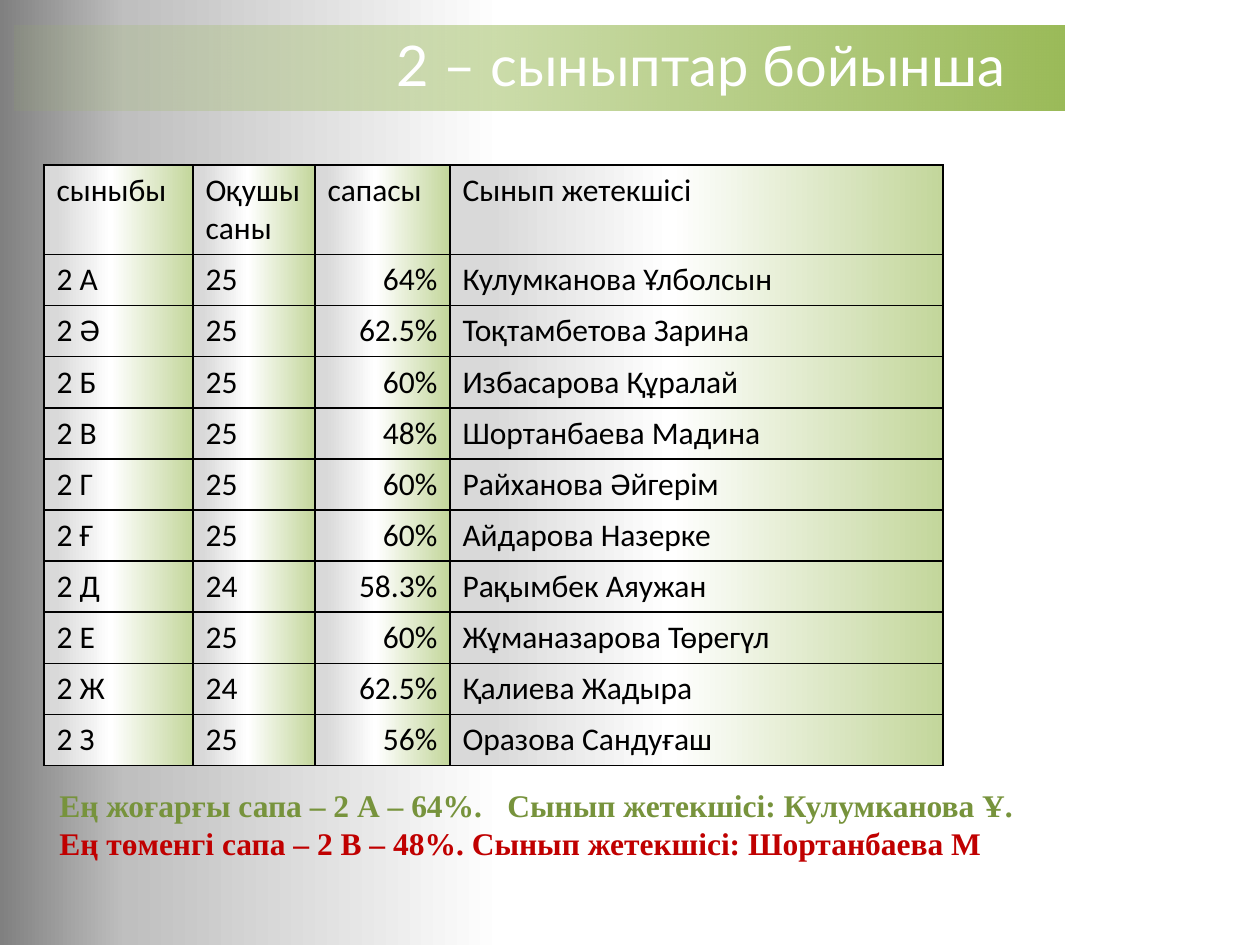
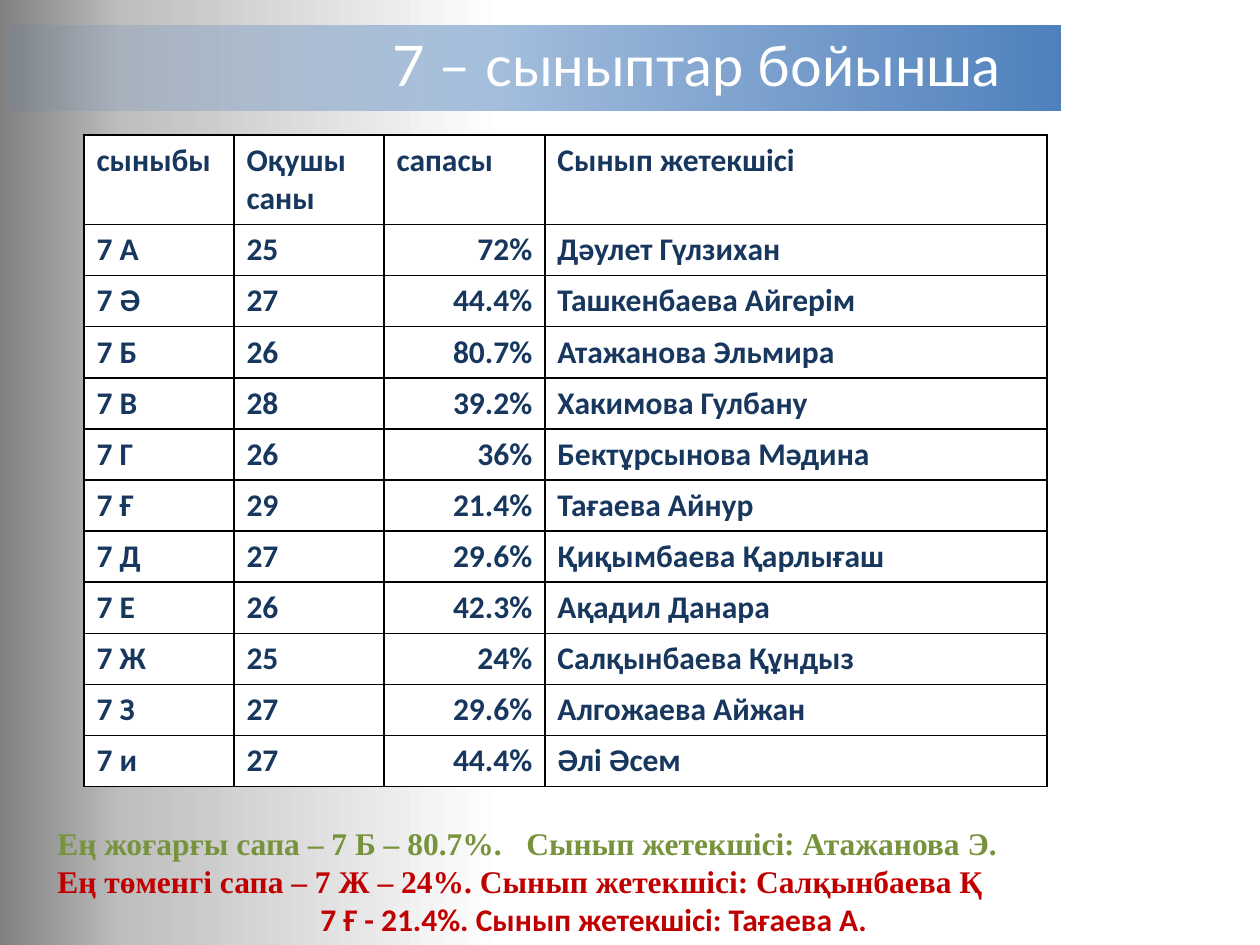
from dataclasses import dataclass
from typing import NamedTuple

from lxml import etree
from pptx import Presentation
from pptx.dml.color import RGBColor
from pptx.enum.text import MSO_ANCHOR, MSO_AUTO_SIZE, PP_ALIGN
from pptx.oxml.ns import qn
from pptx.util import Emu, Pt

LEFT, RIGHT = PP_ALIGN.LEFT, PP_ALIGN.RIGHT
MIDDLE = MSO_ANCHOR.MIDDLE
NO_AUTOFIT = MSO_AUTO_SIZE.NONE
TITLE_ONLY = 5
EMU_PER_PX = 914400 / 126
HEADERS = ("сыныбы", "Оқушы саны", "сапасы", "Сынып жетекшісі")
QUALITY_COLUMN = 2
HEADER_HEIGHT, ROW_HEIGHT = 89, 51


class Stop(NamedTuple):
    position: int
    color: str
    opacity: int = 100


class Box(NamedTuple):
    left: int
    top: int
    width: int
    height: int


class TextStyle(NamedTuple):
    font: str
    size: int
    color: str
    bold: bool = False


@dataclass(frozen=True)
class Theme:
    background: tuple[Stop, ...] = (
        Stop(60, "FFFFFF"), Stop(90, "BFBFBF"), Stop(100, "808080"))
    green_cells: tuple[Stop, ...] = (
        Stop(0, "C3D69B"), Stop(55, "FFFFFF"), Stop(92, "D9D9D9"))
    white_cells: tuple[Stop, ...] = (Stop(0, "FFFFFF"),)
    green_band: str = "9BBB59"
    blue_band: str = "4F81BD"
    border: str = "000000"
    title: TextStyle = TextStyle("Lato", 32, "FFFFFF")
    black_cell: TextStyle = TextStyle("Calibri", 18, "000000")
    navy_cell: TextStyle = TextStyle("Calibri", 18, "17375E", True)
    best: TextStyle = TextStyle("Times New Roman", 18, "77933C", True)
    worst: TextStyle = TextStyle("Times New Roman", 18, "C00000", True)
    extra: TextStyle = TextStyle("Calibri", 18, "C00000", True)


THEME = Theme()


class Remark(NamedTuple):
    text: str
    style: TextStyle
    indent: int = 0
    tab: int = 0


class ClassRow(NamedTuple):
    name: str
    pupils: int
    quality: str
    teacher: str


@dataclass(frozen=True)
class GradeSlide:
    title: str
    band_left: int
    band_color: str
    table_left: int
    table_top: int
    columns: tuple[int, ...]
    cell_style: TextStyle
    cell_stops: tuple[Stop, ...]
    rows: tuple[ClassRow, ...]
    remark_area: Box
    remarks: tuple[Remark, ...]


GRADES = (
    GradeSlide(
        "2 – сыныптар бойынша", 15, THEME.green_band,
        44, 165, (149, 122, 135, 493), THEME.black_cell, THEME.green_cells,
        (
            ClassRow("2 А", 25, "64%", "Кулумканова Ұлболсын"),
            ClassRow("2 Ә", 25, "62.5%", "Тоқтамбетова Зарина"),
            ClassRow("2 Б", 25, "60%", "Избасарова Құралай"),
            ClassRow("2 В", 25, "48%", "Шортанбаева Мадина"),
            ClassRow("2 Г", 25, "60%", "Райханова Әйгерім"),
            ClassRow("2 Ғ", 25, "60%", "Айдарова Назерке"),
            ClassRow("2 Д", 24, "58.3%", "Рақымбек Аяужан"),
            ClassRow("2 Е", 25, "60%", "Жұманазарова Төрегүл"),
            ClassRow("2 Ж", 24, "62.5%", "Қалиева Жадыра"),
            ClassRow("2 З", 25, "56%", "Оразова Сандуғаш"),
        ),
        Box(47, 780, 1013, 127),
        (
            Remark("Ең жоғарғы сапа – 2 А – 64%.\tСынып жетекшісі: Кулумканова Ұ.",
                   THEME.best, tab=448),
            Remark("Ең төменгі сапа – 2 В – 48%. Сынып жетекшісі: Шортанбаева М",
                   THEME.worst),
        ),
    ),
    GradeSlide(
        "7 – сыныптар бойынша", 10, THEME.blue_band,
        84, 135, (150, 150, 161, 502), THEME.navy_cell, THEME.white_cells,
        (
            ClassRow("7 А", 25, "72%", "Дәулет Гүлзихан"),
            ClassRow("7 Ә", 27, "44.4%", "Ташкенбаева Айгерім"),
            ClassRow("7 Б", 26, "80.7%", "Атажанова Эльмира"),
            ClassRow("7 В", 28, "39.2%", "Хакимова Гулбану"),
            ClassRow("7 Г", 26, "36%", "Бектұрсынова Мәдина"),
            ClassRow("7 Ғ", 29, "21.4%", "Тағаева Айнур"),
            ClassRow("7 Д", 27, "29.6%", "Қиқымбаева Қарлығаш"),
            ClassRow("7 Е", 26, "42.3%", "Ақадил Данара"),
            ClassRow("7 Ж", 25, "24%", "Салқынбаева Құндыз"),
            ClassRow("7 З", 27, "29.6%", "Алгожаева Айжан"),
            ClassRow("7 и", 27, "44.4%", "Әлі Әсем"),
        ),
        Box(45, 818, 982, 127),
        (
            Remark("Ең жоғарғы сапа – 7 Б – 80.7%.\tСынып жетекшісі: Атажанова Э.",
                   THEME.best, tab=469),
            Remark("Ең төменгі сапа – 7 Ж – 24%. Сынып жетекшісі: Салқынбаева Қ",
                   THEME.worst),
            Remark("7 Ғ - 21.4%. Сынып жетекшісі: Тағаева А.", THEME.extra, indent=263),
        ),
    ),
)


def px(value: int) -> Emu:
    return Emu(round(value * EMU_PER_PX))


def add_child(parent, tag: str, **attributes):
    return etree.SubElement(parent, qn(tag), attributes)


def paint(fill, owner, stops: tuple[Stop, ...], angle: int) -> None:
    if len(stops) == 1:
        fill.solid()
        fill.fore_color.rgb = RGBColor.from_string(stops[0].color)
        return
    fill.gradient()
    grad = next(owner.iter(qn("a:gradFill")))
    stop_list = grad.find(qn("a:gsLst"))
    for gs in list(stop_list):
        stop_list.remove(gs)
    for stop in stops:
        gs = add_child(stop_list, "a:gs", pos=str(stop.position * 1000))
        color = add_child(gs, "a:srgbClr", val=stop.color)
        if stop.opacity < 100:
            add_child(color, "a:alpha", val=str(stop.opacity * 1000))
    grad.find(qn("a:lin")).set("ang", str(angle * 60000))


def set_text(p, text: str, style: TextStyle, alignment=LEFT) -> None:
    p.text = text
    p.alignment = alignment
    p.font.name = style.font
    p.font.size = Pt(style.size)
    p.font.bold = style.bold
    p.font.color.rgb = RGBColor.from_string(style.color)


def add_title(s, grade: GradeSlide) -> None:
    sp = s.shapes.title
    sp.left, sp.top, sp.width, sp.height = map(px, (grade.band_left, 26, 1050, 85))
    sp_pr = sp.element.spPr
    geometry = add_child(sp_pr, "a:prstGeom", prst="round2DiagRect")
    add_child(geometry, "a:avLst")
    paint(sp.fill, sp_pr, (Stop(0, grade.band_color, 10), Stop(100, grade.band_color)), 0)
    tf = sp.text_frame
    tf.auto_size = NO_AUTOFIT
    tf.word_wrap = True
    tf.vertical_anchor = MIDDLE
    tf.margin_left = px(382)
    tf.margin_top = tf.margin_right = tf.margin_bottom = px(21)
    p = tf.paragraphs[0]
    p.line_spacing = 0.9
    set_text(p, grade.title, THEME.title)


def add_borders(tc_pr) -> None:
    for side in ("L", "R", "T", "B"):
        ln = add_child(tc_pr, f"a:ln{side}", w=str(Pt(1)))
        add_child(add_child(ln, "a:solidFill"), "a:srgbClr", val=THEME.border)


def add_grade_table(s, grade: GradeSlide) -> None:
    heights = [HEADER_HEIGHT] + [ROW_HEIGHT] * len(grade.rows)
    box = Box(grade.table_left, grade.table_top, sum(grade.columns), sum(heights))
    frame = s.shapes.add_table(len(heights), len(HEADERS), *map(px, box))
    table = frame.table
    table.first_row = table.horz_banding = False
    for column, width in zip(table.columns, grade.columns):
        column.width = px(width)
    for row, height in zip(table.rows, heights):
        row.height = px(height)
    values = [(i, j, value) for i, row in enumerate((HEADERS, *grade.rows))
              for j, value in enumerate(row)]
    cells = zip(table.iter_cells(), frame.element.iter(qn("a:tc")), values)
    for cell, tc, (i, j, value) in cells:
        tc_pr = tc.get_or_add_tcPr()
        add_borders(tc_pr)
        paint(cell.fill, tc_pr, grade.cell_stops, 180)
        alignment = RIGHT if i and j == QUALITY_COLUMN else LEFT
        set_text(cell.text_frame.paragraphs[0], str(value), grade.cell_style, alignment)


def add_remarks(s, area: Box, remarks: tuple[Remark, ...]) -> None:
    tf = s.shapes.add_textbox(*map(px, area)).text_frame
    tf.word_wrap = True
    for i, remark in enumerate(remarks):
        p = tf.add_paragraph() if i else tf.paragraphs[0]
        p_pr = p._p.get_or_add_pPr()
        if remark.indent:
            p_pr.set("marL", str(px(remark.indent)))
        if remark.tab:
            tabs = add_child(p_pr, "a:tabLst")
            add_child(tabs, "a:tab", pos=str(px(remark.tab)), algn="l")
        set_text(p, remark.text, remark.style)


def main() -> None:
    prs = Presentation()
    prs.slide_width, prs.slide_height = px(1260), px(945)
    for grade in GRADES:
        s = prs.slides.add_slide(prs.slide_layouts[TITLE_ONLY])
        paint(s.background.fill, s.element, THEME.background, 180)
        add_title(s, grade)
        add_grade_table(s, grade)
        add_remarks(s, grade.remark_area, grade.remarks)
    prs.save("out.pptx")


if __name__ == "__main__":
    main()
